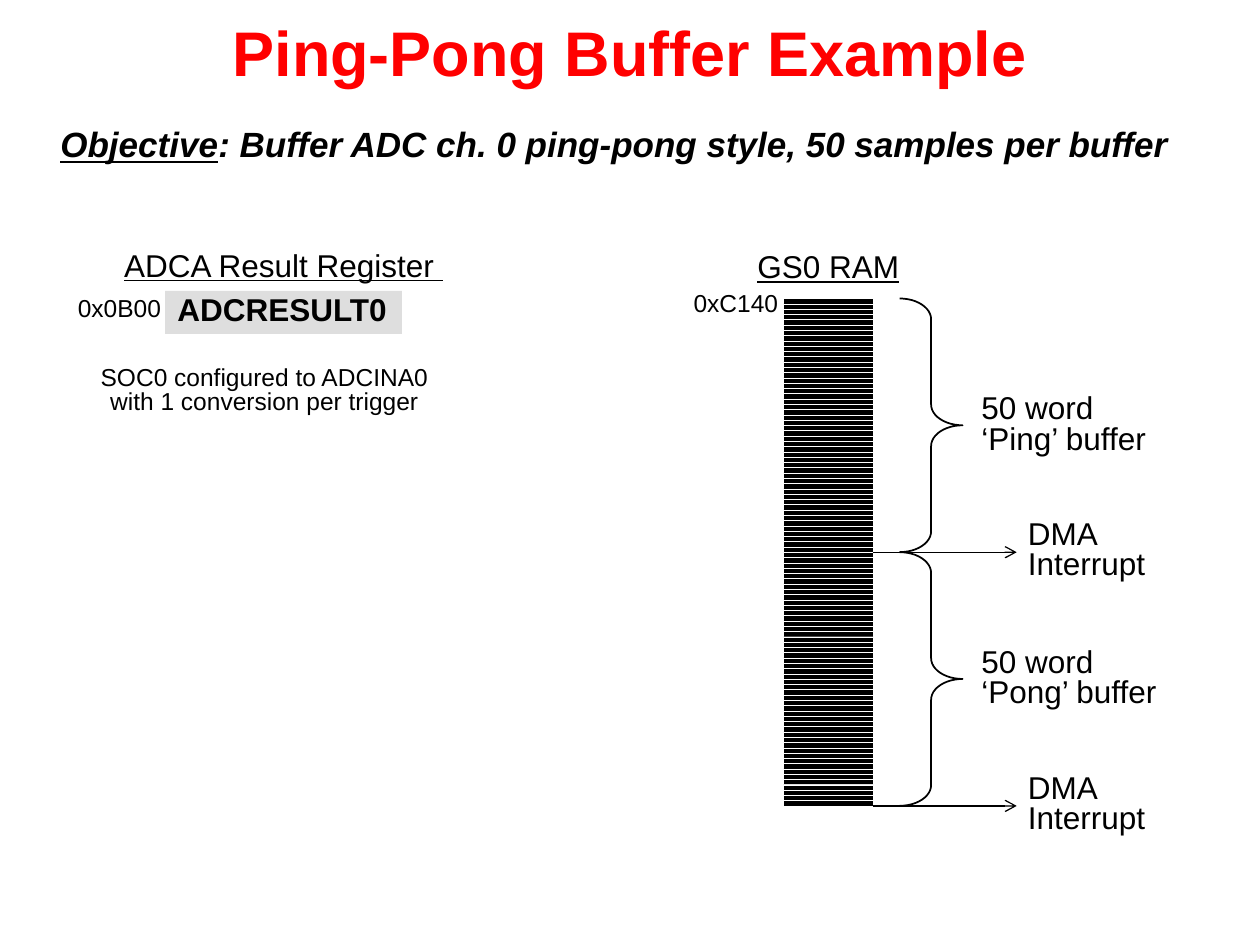
import pptx
import pptx.dml.color
import pptx.enum.shapes
import pptx.enum.text
import pptx.oxml
import pptx.oxml.ns
import pptx.util

Pt = pptx.util.Pt
ALIGN = pptx.enum.text.PP_ALIGN
ANCHOR = pptx.enum.text.MSO_ANCHOR
AUTO_SIZE = pptx.enum.text.MSO_AUTO_SIZE
SHAPE = pptx.enum.shapes.MSO_SHAPE

COLORS = {"title": "FF0000", "ink": "000000", "paper": "FFFFFF", "register": "DEDEDE"}
FONT = "Arial"

# RAM column: two buffers stacked, drawn as equal rows
RAM_LEFT, RAM_TOP, RAM_WIDTH = 447.8, 170.6, 51.1
ROW_HEIGHT = 3.02
ROWS_PER_BUFFER = 48
BUFFER_HEIGHT = ROW_HEIGHT * ROWS_PER_BUFFER


def color(name):
    return pptx.dml.color.RGBColor.from_string(COLORS[name])


def add_run(paragraph, text, size, ink="ink", bold=None, italic=None, underline=None):
    run = paragraph.add_run()
    run.text = text
    font = run.font
    font.name, font.size = FONT, Pt(size)
    font.bold, font.italic, font.underline = bold, italic, underline
    font.color.rgb = color(ink)


def format_frame(frame, align=ALIGN.LEFT, spacing=0.8, wrap=True):
    """Set up a text frame and return its first paragraph."""
    frame.word_wrap = wrap
    frame.auto_size = AUTO_SIZE.SHAPE_TO_FIT_TEXT
    paragraph = frame.paragraphs[0]
    paragraph.alignment = align
    paragraph.line_spacing = spacing
    return paragraph


def add_label(shapes, box, text, size=18, underline=None, **layout):
    label = shapes.add_textbox(*map(Pt, box))
    add_run(format_frame(label.text_frame, **layout), text, size, underline=underline)


def add_block(shapes, kind, box, fill=None, line=None, line_width=1):
    block = shapes.add_shape(kind, *map(Pt, box))
    block.shadow.inherit = False
    if fill:
        block.fill.solid()
        block.fill.fore_color.rgb = color(fill)
    else:
        block.fill.background()
    if line:
        block.line.color.rgb = color(line)
        block.line.width = Pt(line_width)
    else:
        block.line.fill.background()
    return block


def add_arrow(shapes, start_x, end_x, y):
    arrow = shapes.add_connector(
        pptx.enum.shapes.MSO_CONNECTOR.STRAIGHT, Pt(start_x), Pt(y), Pt(end_x), Pt(y))
    arrow.line.color.rgb = color("ink")
    arrow.line.width = Pt(0.75)
    namespace = pptx.oxml.ns.nsdecls("a")
    arrow.line._get_or_add_ln().append(
        pptx.oxml.parse_xml(f'<a:tailEnd {namespace} type="arrow"/>'))
    arrow._element.spPr.append(pptx.oxml.parse_xml(f"<a:effectLst {namespace}/>"))


def add_title(slide):
    title = slide.shapes.title
    title.left, title.top, title.width, title.height = map(Pt, (0, 0, 720, 58.3))
    frame = title.text_frame
    frame.auto_size = AUTO_SIZE.NONE
    frame.vertical_anchor = ANCHOR.MIDDLE
    frame.paragraphs[0].alignment = ALIGN.CENTER
    add_run(frame.paragraphs[0], "Ping-Pong Buffer Example", 36, "title", bold=True)


def add_objective(shapes):
    objective = shapes.add_textbox(*map(Pt, (27.4, 71.3, 655.9, 26.6)))
    paragraph = format_frame(objective.text_frame)
    add_run(paragraph, "Objective", 20, bold=True, italic=True, underline=True)
    add_run(paragraph, ": Buffer ADC ch. 0 ping-pong style, 50 samples per buffer",
            20, bold=True, italic=True, underline=False)


def add_register(shapes):
    add_label(shapes, (57.6, 136.8, 208.8, 28.8), "ADCA Result Register ",
              underline=True, align=ALIGN.CENTER, spacing=1.0)
    add_label(shapes, (37.4, 167, 62.6, 20.9), "0x0B00", 14, wrap=False)
    register = add_block(shapes, SHAPE.RECTANGLE, (94.3, 166.3, 135.4, 24.5), "register")
    register.text_frame.vertical_anchor = ANCHOR.MIDDLE
    add_run(format_frame(register.text_frame, wrap=False), "ADCRESULT0", 18, bold=True)
    add_label(shapes, (48.2, 206.6, 205.9, 34.6),
              "SOC0 configured to ADCINA0 with 1 conversion per trigger",
              14, align=ALIGN.CENTER)


def add_ram(shapes):
    add_label(shapes, (408.2, 137.5, 130.3, 28.8), "GS0 RAM",
              underline=True, align=ALIGN.CENTER, spacing=1.0)
    add_label(shapes, (388.8, 164.2, 63.4, 20.9), "0xC140", 14,
              align=ALIGN.CENTER, wrap=False)
    for row in range(2 * ROWS_PER_BUFFER):
        add_block(shapes, SHAPE.RECTANGLE,
                  (RAM_LEFT, RAM_TOP + row * ROW_HEIGHT, RAM_WIDTH, ROW_HEIGHT),
                  "ink", "paper", 0.25)


def add_buffer(shapes, index, name):
    """Brace and label for one buffer, with the interrupt at its end."""
    top = RAM_TOP + index * BUFFER_HEIGHT
    end = top + BUFFER_HEIGHT
    brace = add_block(shapes, SHAPE.RIGHT_BRACE, (514.1, top, 36, BUFFER_HEIGHT), line="ink")
    brace.adjustments[0] = 0.33
    add_label(shapes, (553.7, top + 52, 123.8, 42.5), f"50 word ‘{name}’ buffer")

    interrupt = shapes.add_group_shape().shapes
    add_arrow(interrupt, RAM_LEFT + RAM_WIDTH, 581, end)
    add_label(interrupt, (580.3, end - 21.3, 87.8, 41.8), "DMA Interrupt")


def main():
    deck = pptx.Presentation()
    deck.slide_width, deck.slide_height = Pt(720), Pt(540)
    slide = deck.slides.add_slide(deck.slide_layouts[5])

    # Heading
    add_title(slide)
    add_objective(slide.shapes)

    # Source register and destination memory
    add_register(slide.shapes)
    add_ram(slide.shapes)
    for index, name in enumerate(("Ping", "Pong")):
        add_buffer(slide.shapes, index, name)

    deck.save("out.pptx")


if __name__ == "__main__":
    main()
